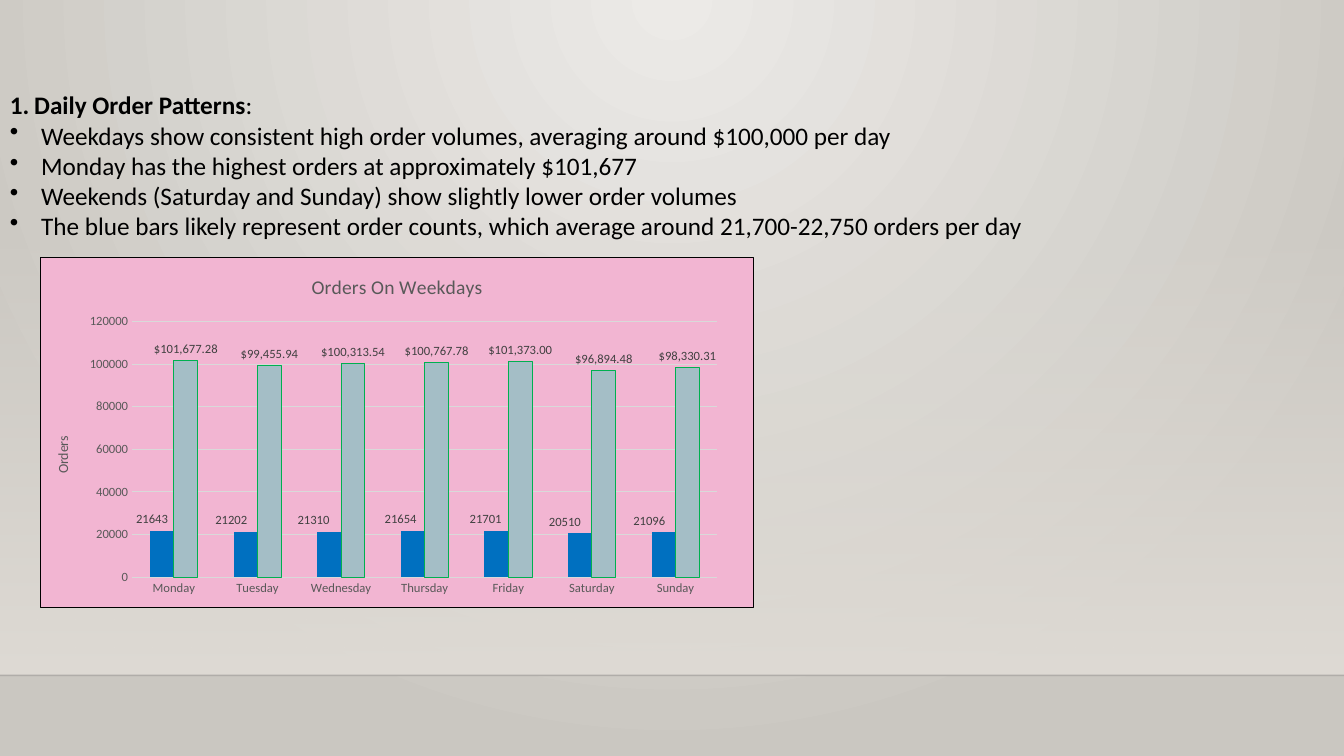
from dataclasses import dataclass

from lxml import etree
from pptx import Presentation
from pptx.chart.chart import Chart
from pptx.chart.data import CategoryChartData
from pptx.dml.color import RGBColor
from pptx.enum.chart import XL_CHART_TYPE, XL_LABEL_POSITION, XL_TICK_MARK
from pptx.enum.shapes import MSO_CONNECTOR, MSO_SHAPE
from pptx.oxml import parse_xml
from pptx.oxml.ns import nsdecls, qn
from pptx.util import Inches, Pt

COLUMNS = XL_CHART_TYPE.COLUMN_CLUSTERED
OUTSIDE_END = XL_LABEL_POSITION.OUTSIDE_END
NO_TICK = XL_TICK_MARK.NONE
STRAIGHT = MSO_CONNECTOR.STRAIGHT
RECTANGLE = MSO_SHAPE.RECTANGLE

SLIDE_WIDTH, SLIDE_HEIGHT = Inches(13.33), Inches(7.5)
FONT = "Calibri"
BLACK, GREY, GRID_GREY, LABEL_GREY = "000000", "595959", "D9D9D9", "404040"
HORIZON = 6.7 / 7.5


@dataclass
class Area:
    left: float
    top: float
    width: float
    height: float

    def box(self) -> tuple[int, int, int, int]:
        return (int(self.left * SLIDE_WIDTH), int(self.top * SLIDE_HEIGHT),
                int(self.width * SLIDE_WIDTH), int(self.height * SLIDE_HEIGHT))


@dataclass
class Finding:
    marker: str
    indent: float
    runs: list[tuple[str, bool]]


@dataclass
class Measure:
    name: str
    values: list[float]
    fill: str
    outline: str | None
    number_format: str
    label_shifts: list[float]


def bullet(text: str) -> Finding:
    return Finding('<a:buChar {} char="•"/>', 0.31, [(text, False)])


FLOOR = Area(0, 2.21 / 7.5, 1, 4.49 / 7.5)
FINDINGS_AREA = Area(0, 0.84 / 7.5, 10.51 / 13.33, 4.34 / 7.5)
CHART_AREA = Area(0.4 / 13.33, 2.55 / 7.5, 7.08 / 13.33, 3.48 / 7.5)
PLOT_AREA = {"x": 0.128, "y": 0.183, "w": 0.821, "h": 0.731}

FINDINGS = [
    Finding('<a:buAutoNum {} type="arabicPeriod"/>', 0.24,
            [("Daily Order Patterns", True), (":", False)]),
    bullet("Weekdays show consistent high order volumes, averaging around $100,000 per day"),
    bullet("Monday has the highest orders at approximately $101,677"),
    bullet("Weekends (Saturday and Sunday) show slightly lower order volumes"),
    bullet("The blue bars likely represent order counts, which average around 21,700-22,750 orders per day"),
]
WEEKDAYS = ["Monday", "Tuesday", "Wednesday", "Thursday", "Friday", "Saturday", "Sunday"]
MEASURES = [
    Measure("Series 1", [21643, 21202, 21310, 21654, 21701, 20510, 21096],
            "0070C0", None, "General",
            [-0.014, -0.02, -0.022, -0.017, -0.015, -0.021, -0.02]),
    Measure("Series 2",
            [101677.28, 99455.94, 100313.54, 100767.78, 101373, 96894.48, 98330.31],
            "A4BEC6", "00B050", "$#,##0.00", []),
]


def rgb(value: str) -> RGBColor:
    return RGBColor.from_string(value)


def set_gradient(owner, stops: list[tuple[int, str, int]], direction: str) -> None:
    marks = "".join(
        f'<a:gs pos="{position * 1000}"><a:srgbClr val="{color}">'
        f'<a:alpha val="{opacity * 1000}"/></a:srgbClr></a:gs>'
        for position, color, opacity in stops)
    gradient = owner.find(".//" + qn("a:gradFill"))
    gradient.getparent().replace(gradient, parse_xml(
        f'<a:gradFill {nsdecls("a")} rotWithShape="1"><a:gsLst>{marks}</a:gsLst>'
        f'{direction}</a:gradFill>'))


def style_font(font, size: float, color: str, bold: bool = False) -> None:
    font.name, font.size, font.bold = FONT, Pt(size), bold
    font.color.rgb = rgb(color)


def style_line(line, color: str, width: float = 0.75) -> None:
    line.color.rgb = rgb(color)
    line.width = Pt(width)


def add_backdrop(slide) -> None:
    slide.background.fill.gradient()
    set_gradient(slide.element, [(0, "ECEAE7", 100), (100, "CAC7C1", 100)],
                 '<a:path path="circle"><a:fillToRect l="43000" r="43000" b="100000"/></a:path>')
    floor = slide.shapes.add_shape(RECTANGLE, *FLOOR.box())
    floor.shadow.inherit = False
    floor.line.fill.background()
    floor.fill.gradient()
    set_gradient(floor.element, [(0, "DFDBD5", 0), (100, "DFDBD5", 100)],
                 '<a:lin ang="5400000" scaled="0"/>')
    height = int(HORIZON * SLIDE_HEIGHT)
    horizon = slide.shapes.add_connector(STRAIGHT, 0, height, SLIDE_WIDTH, height)
    style_line(horizon.line, "000001", 1)
    color = horizon.element.find(".//" + qn("a:srgbClr"))
    etree.SubElement(color, qn("a:alpha")).set("val", "20000")
    etree.SubElement(horizon.element.spPr, qn("a:effectLst"))


def add_findings(slide) -> None:
    frame = slide.shapes.add_textbox(*FINDINGS_AREA.box()).text_frame
    frame.word_wrap = True
    for index, finding in enumerate(FINDINGS):
        paragraph = frame.add_paragraph() if index else frame.paragraphs[0]
        for text, bold in finding.runs:
            run = paragraph.add_run()
            run.text = text
            style_font(run.font, 18, BLACK, bold)
        properties = paragraph._p.get_or_add_pPr()
        properties.set("marL", str(Inches(finding.indent)))
        properties.set("indent", str(-Inches(finding.indent)))
        properties.append(parse_xml(finding.marker.format(nsdecls("a"))))


def layout_xml(places: dict[str, float], prefix: str = ""):
    entries = "".join(f'<c:{key} val="{value}"/>' for key, value in places.items())
    return parse_xml(f'<c:layout {nsdecls("c")}><c:manualLayout>{prefix}{entries}'
                     f'</c:manualLayout></c:layout>')


def set_title(owner, text: str, size: float) -> None:
    run = owner.text_frame.paragraphs[0].add_run()
    run.text = text
    style_font(run.font, size, GREY)


def style_measure(series, measure: Measure) -> None:
    series.smooth = False if hasattr(series, "smooth") else None
    series.format.fill.solid()
    series.format.fill.fore_color.rgb = rgb(measure.fill)
    if measure.outline:
        style_line(series.format.line, measure.outline)
    labels = series.data_labels
    labels.show_value = True
    labels.position = OUTSIDE_END
    labels.number_format = measure.number_format
    labels.number_format_is_linked = False
    style_font(labels.font, 9, LABEL_GREY)
    for index in range(len(measure.label_shifts)):
        label = series.points[index].data_label
        style_font(label.font, 9, LABEL_GREY)
        label.position = OUTSIDE_END
    for entry, shift in zip(series._element.iter(qn("c:dLbl")), measure.label_shifts):
        entry.find(qn("c:idx")).addnext(layout_xml({"x": shift, "y": 0}))


def style_frame(chart: Chart) -> None:
    chart_element = chart.element.find(qn("c:chart"))
    chart_element.addnext(parse_xml(
        f'<c:spPr {nsdecls("c", "a")}><a:solidFill><a:srgbClr val="F2B5D2"/></a:solidFill>'
        f'<a:ln w="{Pt(0.75)}"><a:solidFill><a:srgbClr val="{BLACK}"/></a:solidFill></a:ln></c:spPr>'))
    plot_area = chart_element.find(qn("c:plotArea"))
    for automatic in plot_area.findall(qn("c:layout")):
        plot_area.remove(automatic)
    plot_area.insert(0, layout_xml(
        PLOT_AREA, '<c:layoutTarget val="inner"/><c:xMode val="edge"/><c:yMode val="edge"/>'))


def add_orders_chart(slide) -> None:
    data = CategoryChartData()
    data.categories = WEEKDAYS
    for measure in MEASURES:
        data.add_series(measure.name, measure.values)
    chart = slide.shapes.add_chart(COLUMNS, *CHART_AREA.box(), data).chart
    style_font(chart.font, 10, BLACK)
    chart.has_legend = False
    set_title(chart.chart_title, "Orders On Weekdays", 14)
    days, orders = chart.category_axis, chart.value_axis
    for axis in (days, orders):
        axis.major_tick_mark = axis.minor_tick_mark = NO_TICK
        style_font(axis.tick_labels.font, 9, GREY)
    style_line(days.format.line, GRID_GREY)
    orders.format.line.fill.background()
    style_line(orders.major_gridlines.format.line, GRID_GREY)
    orders.minimum_scale, orders.maximum_scale, orders.major_unit = 0, 120000, 20000
    set_title(orders.axis_title, "Orders", 10)
    plot = chart.plots[0]
    plot.vary_by_categories = False
    plot.gap_width, plot.overlap = 150, 0
    for series, measure in zip(plot.series, MEASURES):
        style_measure(series, measure)
    style_frame(chart)


def main() -> None:
    deck = Presentation()
    deck.slide_width, deck.slide_height = SLIDE_WIDTH, SLIDE_HEIGHT
    slide = deck.slides.add_slide(deck.slide_layouts[6])
    add_backdrop(slide)
    add_findings(slide)
    add_orders_chart(slide)
    deck.save("out.pptx")


if __name__ == "__main__":
    main()
